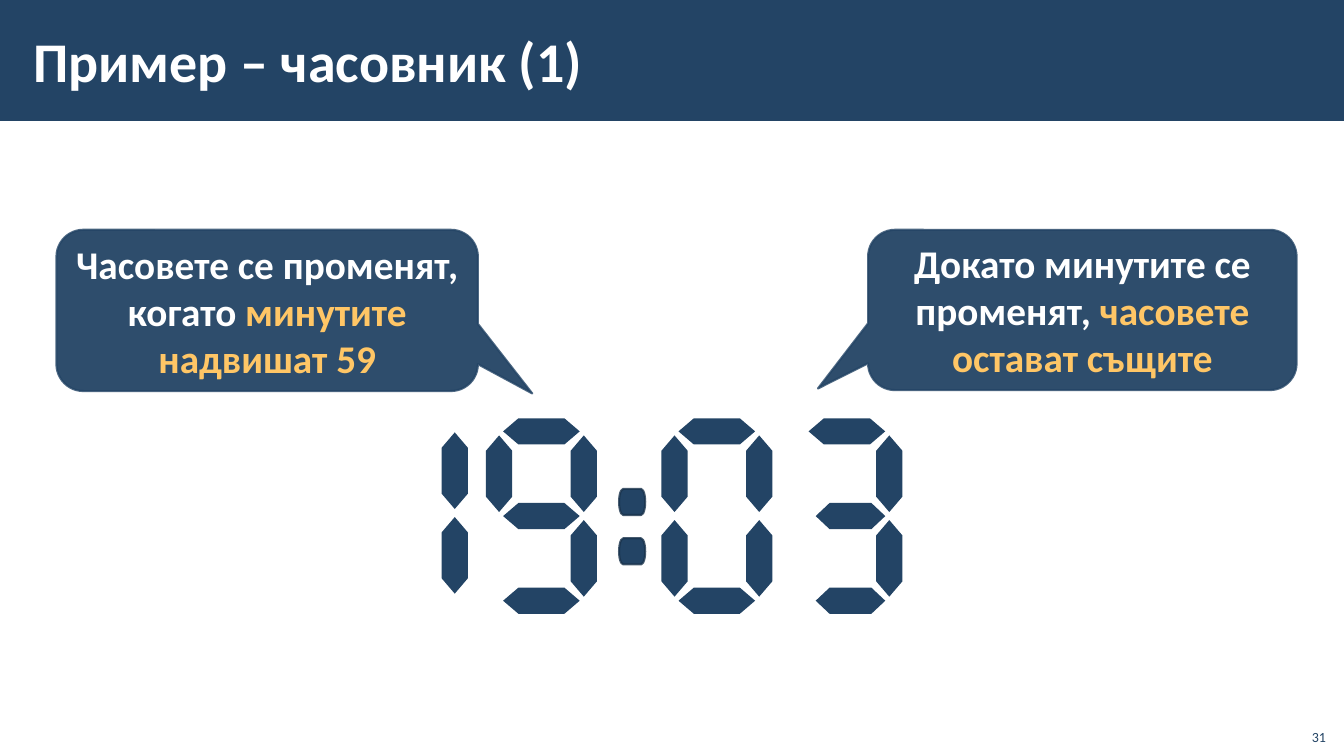
"""Slide with a digital clock reading 19:03 and two explanatory callouts."""
from lxml import etree
from pptx import Presentation
from pptx.dml.color import RGBColor
from pptx.enum.shapes import MSO_SHAPE as SHAPE
from pptx.enum.text import MSO_ANCHOR as ANCHOR, PP_ALIGN as ALIGN
from pptx.oxml.ns import qn
from pptx.util import Inches, Pt

W, H = 13.33, 7.5
FONT = "Calibri"
COLORS = {"navy": "234465", "edge": "1A334C", "white": "FFFFFF", "gold": "FFC666"}

TITLE = "Пример – часовник (1)"
NUMBER = "31"
CALLOUTS = [
    ((0.56, 2.28, 4.18, 1.6), (0.629, 0.515, 0.167),
     [("Часовете се променят, когато ", "white"), ("минутите надвишат 59", "gold")]),
    ((8.61, 2.28, 4.25, 1.59), (-0.617, 0.49, 0.167),
     [("Докато минутите се променят, ", "white"), ("часовете остават същите", "gold")]),
]

CLOCK_Y = 5.12
HALF = 0.42
LONG, SHORT, THICK = 0.76, 0.69, 0.26
COLON_X, COLON_SIZE, COLON_YS = 6.27, 0.26, (4.98, 5.47)
SEGMENTS = {
    "top": (0, -2), "middle": (0, 0), "bottom": (0, 2),
    "upper left": (-1, -1), "upper right": (1, -1),
    "lower left": (-1, 1), "lower right": (1, 1),
}
RIGHT = ["upper right", "lower right"]
BARS = ["top", "middle", "bottom"]
DIGITS = [
    (4.09, -0.03, RIGHT, []),
    (5.37, 0, RIGHT + BARS + ["upper left"], []),
    (7.11, 0, RIGHT + ["top", "bottom", "upper left", "lower left"], []),
    (8.4, 0, RIGHT + BARS, ["middle", "bottom"]),
]


def rgb(name):
    return RGBColor.from_string(COLORS[name])


def set_opacity(fill, percent):
    color = fill._xPr.find(qn("a:solidFill"))[0]
    etree.SubElement(color, qn("a:alpha")).set("val", str(percent * 1000))


def add_shape(slide, kind, box, edge=None):
    sp = slide.shapes.add_shape(kind, *map(Inches, box))
    sp.shadow.inherit = False
    sp.fill.solid()
    sp.fill.fore_color.rgb = rgb("navy")
    if edge:
        sp.line.color.rgb = rgb(edge)
        sp.line.width = Pt(1.5)
        set_opacity(sp.line.fill, 80)
    else:
        sp.line.fill.background()
    return sp


def write(sp, runs, size, bold, align, anchor, inset=(0.1, 0.05)):
    tf = sp.text_frame
    tf.word_wrap = True
    tf.vertical_anchor = anchor
    tf.margin_left = tf.margin_right = Inches(inset[0])
    tf.margin_top = tf.margin_bottom = Inches(inset[1])
    p = tf.paragraphs[0]
    p.alignment = align
    p.line_spacing = 1.0
    p.space_before = Pt(0)
    for text, color in runs:
        r = p.add_run()
        r.text = text
        r.font.name, r.font.size, r.font.bold = FONT, Pt(size), bold
        r.font.color.rgb = rgb(color)


def add_digit(slide, x, shift, lit, short):
    for name in lit:
        col, row = SEGMENTS[name]
        length = SHORT if name in short else LONG
        cx = x + col * HALF + (LONG - length) / 2
        cy = CLOCK_Y + row * HALF + shift
        box = (cx - length / 2, cy - THICK / 2, length, THICK)
        sp = add_shape(slide, SHAPE.FLOWCHART_PREPARATION, box)
        sp.rotation = 90 if col else 0


def main():
    prs = Presentation()
    prs.slide_width, prs.slide_height = Inches(W), Inches(H)
    slide = prs.slides.add_slide(prs.slide_layouts[5])

    bar = add_shape(slide, SHAPE.RECTANGLE, (0, 0, W, 0.16 * H))
    slide.shapes._spTree.insert(2, bar._element)
    title = slide.shapes.title
    title.left, title.top, title.width, title.height = map(Inches, (0.21, 0.11, 10.63, 0.97))
    write(title, [(TITLE, "white")], 40, True, ALIGN.LEFT, ANCHOR.MIDDLE, (0.12, 0.04))

    for y in COLON_YS:
        box = (COLON_X - COLON_SIZE / 2, y - COLON_SIZE / 2, COLON_SIZE, COLON_SIZE)
        add_shape(slide, SHAPE.FLOWCHART_TERMINATOR, box, "edge")
    for digit in DIGITS:
        add_digit(slide, *digit)

    for box, adjustments, runs in CALLOUTS:
        sp = add_shape(slide, SHAPE.ROUNDED_RECTANGULAR_CALLOUT, box, "navy")
        set_opacity(sp.fill, 95)
        for i, value in enumerate(adjustments):
            sp.adjustments[i] = value
        write(sp, runs, 28, True, ALIGN.CENTER, ANCHOR.MIDDLE)

    number = slide.shapes.add_textbox(*map(Inches, (12.85, 7.12, 0.4, 0.32)))
    write(number, [(NUMBER, "navy")], 10, False, ALIGN.RIGHT, ANCHOR.BOTTOM)
    prs.save("out.pptx")


if __name__ == "__main__":
    main()
